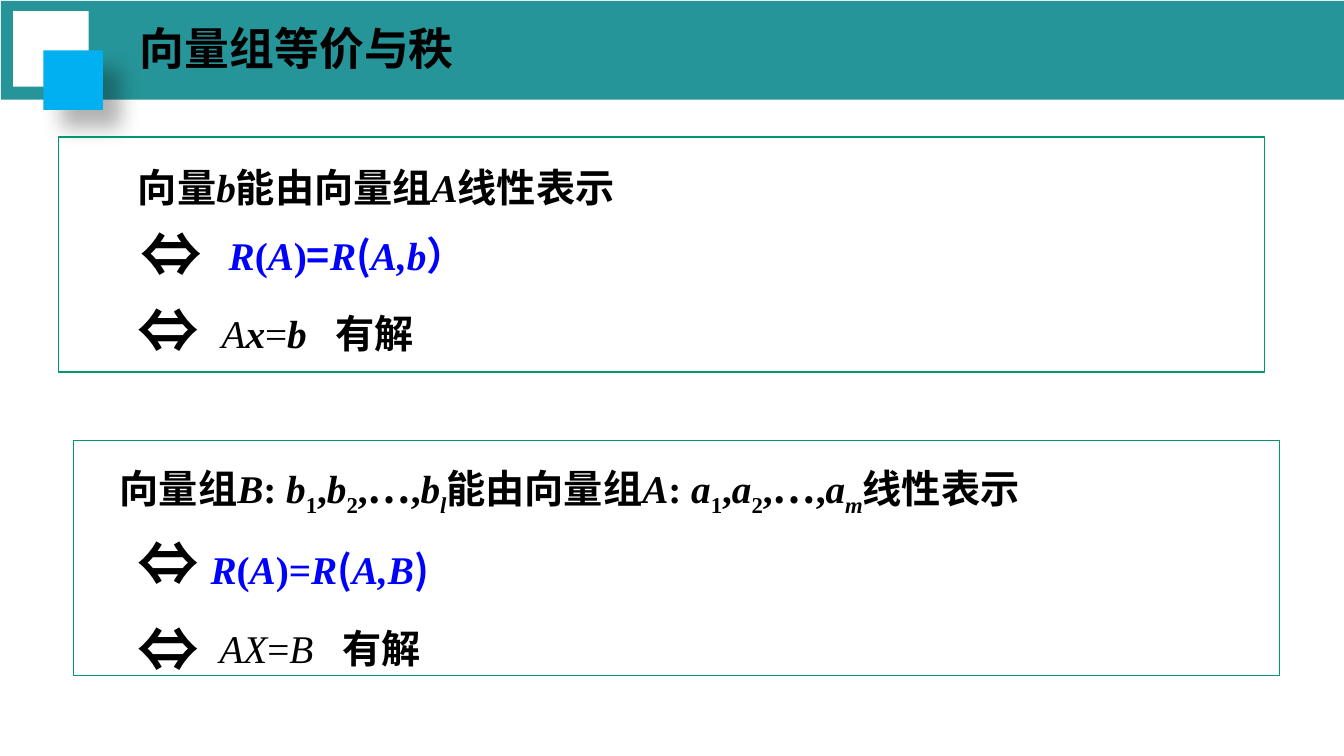
from lxml.etree import SubElement as Sub
from pptx import Presentation
from pptx.dml.color import RGBColor as RGB
from pptx.enum.shapes import MSO_SHAPE as Kind
from pptx.enum.text import MSO_ANCHOR as Anchor
from pptx.oxml.ns import qn
from pptx.util import Inches, Pt

HUES = {"teal": "269599", "white": "FFFFFF", "sky": "00B0F0",
        "edge": "009771", "black": "000000", "blue": "0000FF"}
SERIF, SANS = "Times New Roman", "Noto Sans CJK SC"

deck = Presentation()
deck.slide_width, deck.slide_height = Inches(13.33), Inches(7.5)
slide = deck.slides.add_slide(deck.slide_layouts[6])


def add_rect(x, y, w, h, fill=None, line=None):
    rect = slide.shapes.add_shape(
        Kind.RECTANGLE, Inches(x), Inches(y), Inches(w), Inches(h))
    rect.shadow.inherit = False
    if fill:
        rect.fill.solid()
        rect.fill.fore_color.rgb = RGB.from_string(HUES[fill])
    else:
        rect.fill.background()
    if line:
        rect.line.color.rgb = RGB.from_string(HUES[line])
        rect.line.width = Pt(1)
    else:
        rect.line.fill.background()
    return rect


def add_text(x, y, w, h, runs, size=28, hue="black", bold=True,
             face=SERIF, tab=None):
    box = slide.shapes.add_textbox(Inches(x), Inches(y), Inches(w), Inches(h))
    box.text_frame.word_wrap = True
    para = box.text_frame.paragraphs[0]
    if tab:
        stops = Sub(para._p.get_or_add_pPr(), qn("a:tabLst"))
        Sub(stops, qn("a:tab"), pos=str(Inches(tab)), algn="l")
    font = para.font
    font.name, font.size, font.bold = face, Pt(size), bold
    font.color.rgb = RGB.from_string(HUES[hue])
    Sub(font._element, qn("a:ea"), typeface=SANS)
    for text, style in runs:
        run = para.add_run()
        run.text = text
        if "i" in style:
            run.font.italic = True
        if "b" in style:
            run.font.bold = True
        if "n" in style:
            run.font.name = SANS
        if "s" in style:
            run.font._element.set("baseline", "-25000")
    return box


add_rect(0.01, 0.01, 13.33, 0.98, "teal")
title = add_text(1.29, 0.15, 8.5, 0.65, [("向量组等价与秩", "")], 32)
title.text_frame.vertical_anchor = Anchor.MIDDLE
add_rect(0.13, 0.11, 0.75, 0.75, "white")
badge = add_rect(0.43, 0.5, 0.59, 0.59, "sky")
glow = Sub(badge._element.spPr.find(qn("a:effectLst")), qn("a:outerShdw"),
           blurRad=str(Pt(15)), dist=str(Pt(18)), dir="2700000",
           algn="tl", rotWithShape="0")
tint = Sub(glow, qn("a:srgbClr"), val=HUES["black"])
Sub(tint, qn("a:alpha"), val="30000")

for x, y in [(0.58, 1.36), (0.73, 4.37)]:
    add_rect(x, y, 11.96, 2.33, line="edge")

for x, y in [(1.29, 2.09), (1.27, 2.85), (1.27, 5.16), (1.27, 6.01)]:
    add_text(x, y, 0.98, 0.84, [("⇔", "")], 44, face=SANS)

add_text(1.27, 1.57, 10.58, 0.57, [
    ("向量", ""), ("b", "i"), ("能由向量组", ""), ("A", "i"), ("线性表示", "")])

groups = []
for lead, name, item, last in [("向量组", "B", "b", "l"),
                               ("能由向量组", "A", "a", "m")]:
    groups += [(lead, ""), (name, "i"), (": ", "")]
    for mark in "12":
        groups += [(item, "i"), (mark, "s"), (",", "")]
    groups += [("…", "n"), (",", ""), (item, "i"), (last, "is")]
add_text(1.09, 4.56, 9.71, 0.57, groups + [("线性表示", "")])

rank = [("R", "i"), ("(", ""), ("A", "i"), (")", "")]
add_text(2.17, 2.25, 2.96, 0.57, rank + [
    ("=", "n"), ("R", "i"), ("(", "n"), ("A,b", "i"), ("）", "")], hue="blue")
add_text(1.99, 5.36, 2.47, 0.57, rank + [
    ("=", ""), ("R", "i"), ("(", "n"), ("A,B", "i"), (")", "n")], hue="blue")

add_text(2.1, 3.02, 2.36, 0.57, [
    ("A", "i"), ("x", "ib"), ("=", ""), ("b", "ib"), ("\t有解", "b")],
    bold=False, tab=1.13)
add_text(2.08, 6.14, 2.36, 0.57, [
    ("AX", "i"), ("=", ""), ("B", "i"), ("\t有解", "b")],
    bold=False, tab=1.22)

deck.save("out.pptx")
